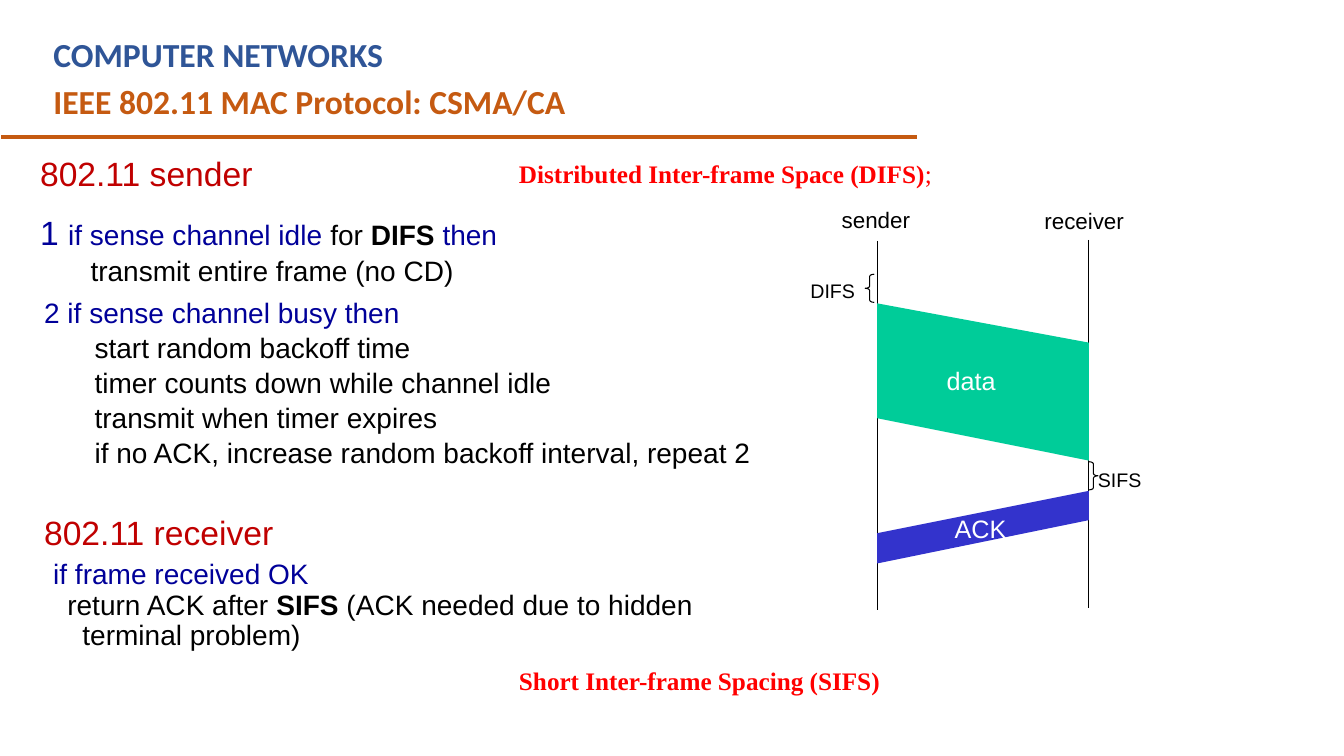
import pptx
import pptx.dml.color
import pptx.enum.shapes
import pptx.oxml.ns
import pptx.util
from lxml import etree

WIDTH, HEIGHT = 13.33, 7.5
BLUE, RUST, RED = "2F5597", "C55A11", "FF0000"
NAVY, CRIMSON, BLACK, WHITE = "000099", "C00000", "000000", "FFFFFF"
SENDER_X, RECEIVER_X = 65.27, 81.02
MARGIN, BLOCK_W = 2.55, 54.84


def across(share):
    """Percent of the slide width."""
    return pptx.util.Inches(WIDTH * share / 100)


def down(share):
    """Percent of the slide height."""
    return pptx.util.Inches(HEIGHT * share / 100)


def place(x, y, w, h):
    return across(x), down(y), across(w), down(h)


def rgb(color):
    return pptx.dml.color.RGBColor.from_string(color)


def add_run(p, text, size, color, bold=False, font="Arial"):
    r = p.add_run()
    r.text = text
    r.font.size = pptx.util.Pt(size)
    r.font.name = font
    r.font.bold = bold
    r.font.color.rgb = rgb(color)


def add_label(s, text, x, y, w, h, size, color, bold=False, font="Arial", wrap=False):
    tf = s.shapes.add_textbox(*place(x, y, w, h)).text_frame
    tf.word_wrap = wrap
    add_run(tf.paragraphs[0], text, size, color, bold, font)
    return tf


def add_block(s, x, y, h, spacing, paragraphs):
    """Each paragraph: left margin, first-line indent, space before, space after, runs."""
    tf = s.shapes.add_textbox(*place(x, y, BLOCK_W, h)).text_frame
    tf.word_wrap = True
    for i, (margin, indent, before, after, runs) in enumerate(paragraphs):
        p = tf.add_paragraph() if i else tf.paragraphs[0]
        p.line_spacing = spacing
        p.space_before = pptx.util.Pt(before)
        p.space_after = pptx.util.Pt(after)
        pPr = p._p.get_or_add_pPr()
        pPr.set("marL", str(pptx.util.Inches(margin)))
        pPr.set("indent", str(pptx.util.Inches(indent)))
        for run in runs:
            add_run(p, *run)


def add_line(s, x1, y1, x2, y2, color, width):
    sp = s.shapes.add_connector(pptx.enum.shapes.MSO_CONNECTOR.STRAIGHT,
                                across(x1), down(y1), across(x2), down(y2))
    sp.line.color.rgb = rgb(color)
    sp.line.width = pptx.util.Pt(width)
    etree.SubElement(sp._element.spPr, pptx.oxml.ns.qn("a:effectLst"))


def add_brace(s, kind, x, y):
    sp = s.shapes.add_shape(kind, *place(x, y, 0.68, 3.73))
    sp.adjustments[0], sp.adjustments[1] = 0.25, 0.5
    sp.shadow.inherit = False
    sp.fill.background()
    sp.line.color.rgb = rgb(BLACK)
    sp.line.width = pptx.util.Pt(0.75)


def add_band(s, corners, color):
    points = [(across(x), down(y)) for x, y in corners]
    builder = s.shapes.build_freeform(*points[0])
    builder.add_line_segments(points[1:], close=True)
    sp = builder.convert_to_shape()
    sp.shadow.inherit = False
    sp.fill.solid()
    sp.fill.fore_color.rgb = rgb(color)
    sp.line.fill.background()


def add_header(s):
    add_label(s, "COMPUTER NETWORKS", 3.23, 3.87, 61.5, 6.67, 24, BLUE, True, "Calibri", True)
    add_line(s, 0.08, 18.13, 68.2, 18.13, RUST, 3)
    add_label(s, "IEEE 802.11 MAC Protocol: CSMA/CA", 3.23, 10, 40, 6.67, 24, RUST, True, "Calibri")


def add_rules(s):
    def step(text):
        return 0.5, 0, 4.6, 0, [(text, 20, BLACK)]

    add_block(s, 2.25, 20.4, 18.8, 0.85, [
        (0.38, -0.38, 0, 12, [("802.11 sender", 24, CRIMSON)]),
        (0.38, -0.38, 5.5, 0, [("1 ", 24, NAVY), ("if sense channel idle ", 20, NAVY),
                               ("for ", 20, BLACK), ("DIFS ", 20, BLACK, True),
                               ("then", 20, NAVY)]),
        step("transmit entire frame (no CD)"),
    ])
    add_block(s, MARGIN, 67.6, 24.8, 0.9, [
        (0.38, -0.38, 0, 6, [("802.11 receiver", 24, CRIMSON)]),
        (0.09, 0, 0, 0, [("if frame received OK", 20, NAVY)]),
        (0.38, -0.15, 0, 0, [("return ACK after ", 20, BLACK), ("SIFS ", 20, BLACK, True),
                             ("(ACK needed due to hidden terminal problem)", 20, BLACK)]),
    ])
    add_block(s, MARGIN, 39.07, 24.8, 0.85, [
        (0.38, -0.38, 0, 0, [("2 if sense channel busy then", 20, NAVY)]),
        step("start random backoff time"),
        step("timer counts down while channel idle"),
        step("transmit when timer expires"),
        step("if no ACK, increase random backoff interval, repeat 2"),
    ])


def add_timing_diagram(s):
    shapes = pptx.enum.shapes.MSO_SHAPE
    # Lifelines
    add_line(s, SENDER_X, 31.87, SENDER_X, 80.67, BLACK, 0.75)
    add_line(s, RECEIVER_X, 31.73, RECEIVER_X, 80.4, BLACK, 0.75)
    add_label(s, "sender", 61.89, 26.67, 6.83, 4.93, 16, BLACK)
    add_label(s, "receiver", 76.97, 26.8, 7.5, 4.93, 16, BLACK)
    # Data after DIFS
    add_brace(s, shapes.LEFT_BRACE, 64.37, 36.27)
    add_label(s, "DIFS", 59.56, 36.27, 4.88, 4.53, 14, BLACK)
    add_band(s, [(SENDER_X, 40.13), (RECEIVER_X, 45.33),
                 (RECEIVER_X, 60.93), (SENDER_X, 55.33)], "00CC99")
    add_label(s, "data", 69.69, 47.6, 5.18, 5.33, 18, WHITE)
    # ACK after SIFS
    add_label(s, "SIFS", 80.95, 61.2, 4.8, 4.53, 14, BLACK)
    add_brace(s, shapes.RIGHT_BRACE, RECEIVER_X, 61.07)
    add_band(s, [(SENDER_X, 74.53), (RECEIVER_X, 68.8),
                 (RECEIVER_X, 64.93), (SENDER_X, 70.53)], "3333CC")
    add_label(s, "ACK", 70.29, 67.2, 5.4, 5.33, 18, WHITE)


def add_definitions(s):
    serif = "Times New Roman"
    add_label(s, "Short Inter-frame Spacing (SIFS)", 37.88, 87.33, 29.18, 5.33,
              18, RED, True, serif, True)
    tf = add_label(s, "Distributed Inter-frame Space (DIFS)", 37.88, 20.27, 35.26, 5.33,
                   18, RED, True, serif, True)
    add_run(tf.paragraphs[0], ";", 18, RED, False, serif)


def main():
    prs = pptx.Presentation()
    prs.slide_width = pptx.util.Inches(WIDTH)
    prs.slide_height = pptx.util.Inches(HEIGHT)
    s = prs.slides.add_slide(prs.slide_layouts[6])
    add_header(s)
    add_timing_diagram(s)
    add_rules(s)
    add_definitions(s)
    prs.save("out.pptx")


if __name__ == "__main__":
    main()
